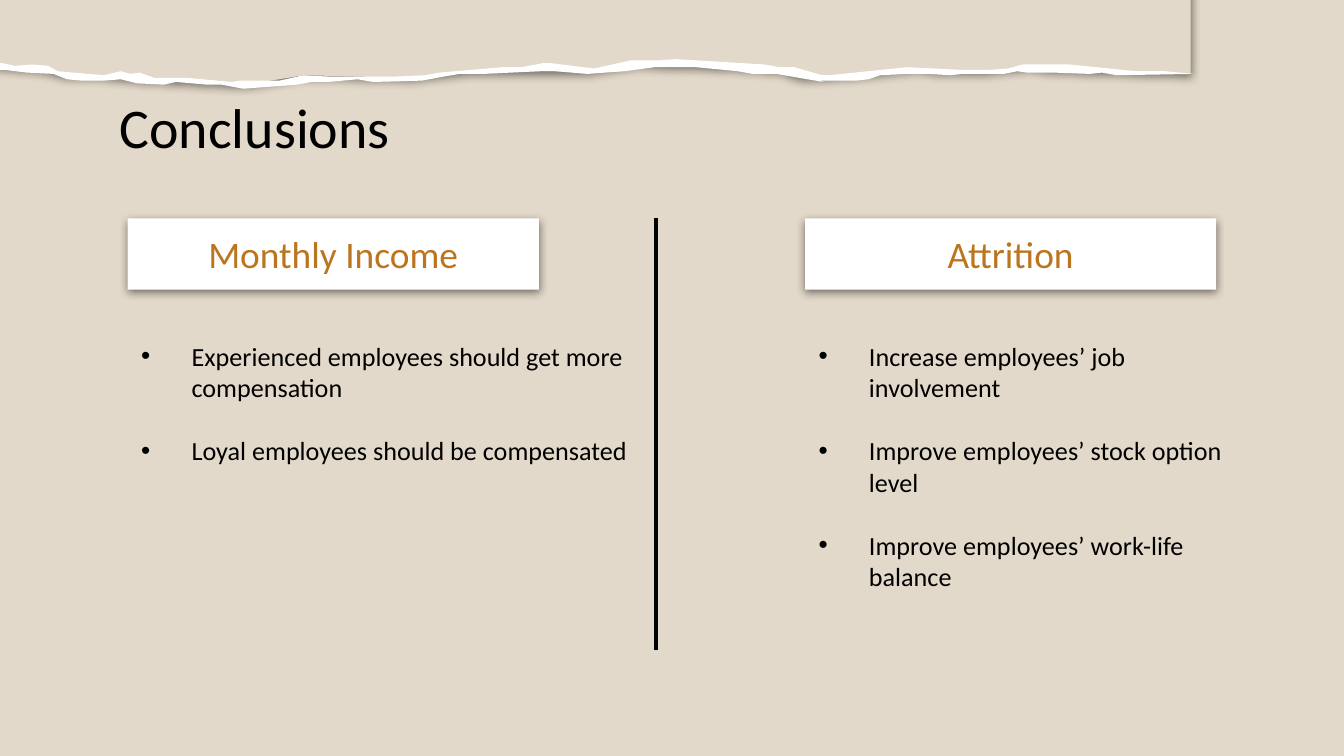
from lxml.etree import SubElement
from pptx import Presentation
from pptx.dml.color import RGBColor
from pptx.enum.shapes import MSO_CONNECTOR, MSO_SHAPE
from pptx.enum.text import MSO_ANCHOR, MSO_AUTO_SIZE, PP_ALIGN
from pptx.oxml.ns import qn
from pptx.util import Pt

FONT = "Calibri"
COLORS = {"sand": "E3D9CA", "white": "FFFFFF", "black": "000000", "ochre": "BC751F"}

TITLE = "Conclusions"
COLUMNS = [
    {"heading": "Monthly Income", "left": 68.4, "width": 278.6, "height": 92,
     "points": ["Experienced employees should get more compensation",
                "Loyal employees should be compensated"]},
    {"heading": "Attrition", "left": 431.3, "width": 231.8, "height": 143,
     "points": ["Increase employees’ job involvement",
                "Improve employees’ stock option level",
                "Improve employees’ work-life balance"]},
]

EDGE_UNIT = Pt(0.72)
PAPER = [
    (183, 63), (226, 56), (305, 58), (350, 53), (438, 53), (472, 48), (542, 50),
    (587, 53), (582, 54), (598, 58), (636, 56), (681, 51), (695, 53), (733, 53),
    (765, 50), (778, 52), (886, 55), (886, -10), (852, -14), (792, -22), (738, -25),
    (670, -29), (562, -25), (467, -18), (418, -20), (357, -16), (307, -18),
    (269, -28), (228, -27), (190, -22), (132, -26), (66, -22), (19, -28),
    (-17, -25), (-15, 48), (5, 50), (33, 52), (48, 56), (71, 56), (102, 59),
]
TORN_EDGE = [
    (181, 66), (221, 63), (232, 61), (244, 61), (266, 59), (278, 61), (314, 60),
    (330, 57), (342, 55), (360, 55), (402, 53), (413, 53), (437, 55), (465, 53),
    (487, 50), (518, 50), (549, 53), (560, 55), (578, 55), (601, 59), (613, 61),
    (610, 60), (637, 60), (646, 59), (655, 56), (675, 55), (691, 55), (707, 56),
    (716, 55), (747, 55), (757, 53), (764, 54), (784, 54), (811, 55), (820, 54),
    (831, 56), (888, 55), (867, 53), (851, 53), (845, 53), (796, 48), (761, 48),
    (750, 51), (736, 52), (716, 52), (675, 50), (646, 53), (617, 56), (612, 56),
    (591, 50), (580, 50), (569, 48), (503, 44), (489, 45), (469, 45), (442, 51),
    (410, 47), (404, 47), (388, 50), (374, 50), (327, 54), (316, 56), (294, 57),
    (245, 57), (226, 56), (208, 60), (194, 60), (179, 60), (172, 61), (151, 59),
    (140, 58), (115, 58), (104, 54), (97, 55), (90, 53), (77, 56), (43, 53),
    (36, 49), (24, 48), (11, 49), (2, 47), (-19, 47), (-3, 52), (4, 52), (20, 54),
    (40, 55), (50, 59), (61, 60), (77, 60), (90, 59), (102, 62), (122, 63),
    (131, 61), (154, 63), (165, 63),
]


def rgb(name):
    return RGBColor.from_string(COLORS[name])


def set_font(paragraph, size, color):
    paragraph.font.name = FONT
    paragraph.font.size = Pt(size)
    paragraph.font.color.rgb = rgb(color)


def place(part, left, top, width, height):
    part.left, part.top, part.width, part.height = map(Pt, (left, top, width, height))


def paint(part, color):
    part.fill.solid()
    part.fill.fore_color.rgb = rgb(color)
    part.line.fill.background()
    part.shadow.inherit = False


def add_soft_shadow(part):
    effects = part._element.spPr.find(qn("a:effectLst"))
    shadow = SubElement(effects, qn("a:outerShdw"), blurRad=str(Pt(4.5)),
                        dist=str(Pt(1.5)), dir="5400000", algn="bl", rotWithShape="0")
    shade = SubElement(shadow, qn("a:srgbClr"), val=COLORS["black"])
    SubElement(shade, qn("a:alpha"), val="50000")


def add_outline(slide, points, color):
    builder = slide.shapes.build_freeform(*points[0], scale=EDGE_UNIT)
    builder.add_line_segments(points[1:], close=True)
    outline = builder.convert_to_shape()
    paint(outline, color)
    return outline


def add_heading(slide, text, left):
    card = slide.shapes.add_shape(MSO_SHAPE.RECTANGLE, Pt(left), Pt(117), Pt(220.3), Pt(38.2))
    paint(card, "white")
    add_soft_shadow(card)
    frame = card.text_frame
    frame.vertical_anchor = MSO_ANCHOR.BOTTOM
    frame.margin_top = frame.margin_bottom = Pt(7.2)
    frame.text = text
    frame.paragraphs[0].alignment = PP_ALIGN.CENTER
    set_font(frame.paragraphs[0], 20, "ochre")


def fill_list(body, column):
    place(body, column["left"], 178.6, column["width"], column["height"])
    frame = body.text_frame
    frame.text = "\n".join(column["points"])
    frame.auto_size = MSO_AUTO_SIZE.NONE
    for index, paragraph in enumerate(frame.paragraphs):
        set_font(paragraph, 14, "black")
        paragraph.space_before = Pt(17 if index else 0)
        properties = paragraph._p.get_or_add_pPr()
        properties.set("marL", str(Pt(27)))
        properties.set("indent", str(-Pt(27)))


def main():
    presentation = Presentation()
    presentation.slide_width, presentation.slide_height = Pt(720), Pt(405)
    slide = presentation.slides.add_slide(presentation.slide_layouts[3])
    slide.background.fill.solid()
    slide.background.fill.fore_color.rgb = rgb("sand")

    add_soft_shadow(add_outline(slide, PAPER, "sand"))
    add_outline(slide, TORN_EDGE, "white")

    title = slide.shapes.title
    place(title, 56.9, 42.5, 607, 45.4)
    frame = title.text_frame
    frame.text = TITLE
    frame.auto_size = MSO_AUTO_SIZE.NONE
    frame.vertical_anchor = MSO_ANCHOR.TOP
    frame.margin_top = frame.margin_bottom = Pt(7.2)
    frame.paragraphs[0].alignment = PP_ALIGN.LEFT
    set_font(frame.paragraphs[0], 30, "black")

    for number, column in enumerate(COLUMNS, start=1):
        add_heading(slide, column["heading"], column["left"])
        fill_list(slide.placeholders[number], column)

    divider = slide.shapes.add_connector(
        MSO_CONNECTOR.STRAIGHT, Pt(351.4), Pt(116.6), Pt(351.4), Pt(348.5))
    divider.line.color.rgb = rgb("black")
    divider.line.width = Pt(2.25)
    SubElement(divider._element.spPr, qn("a:effectLst"))

    presentation.save("out.pptx")


if __name__ == "__main__":
    main()
